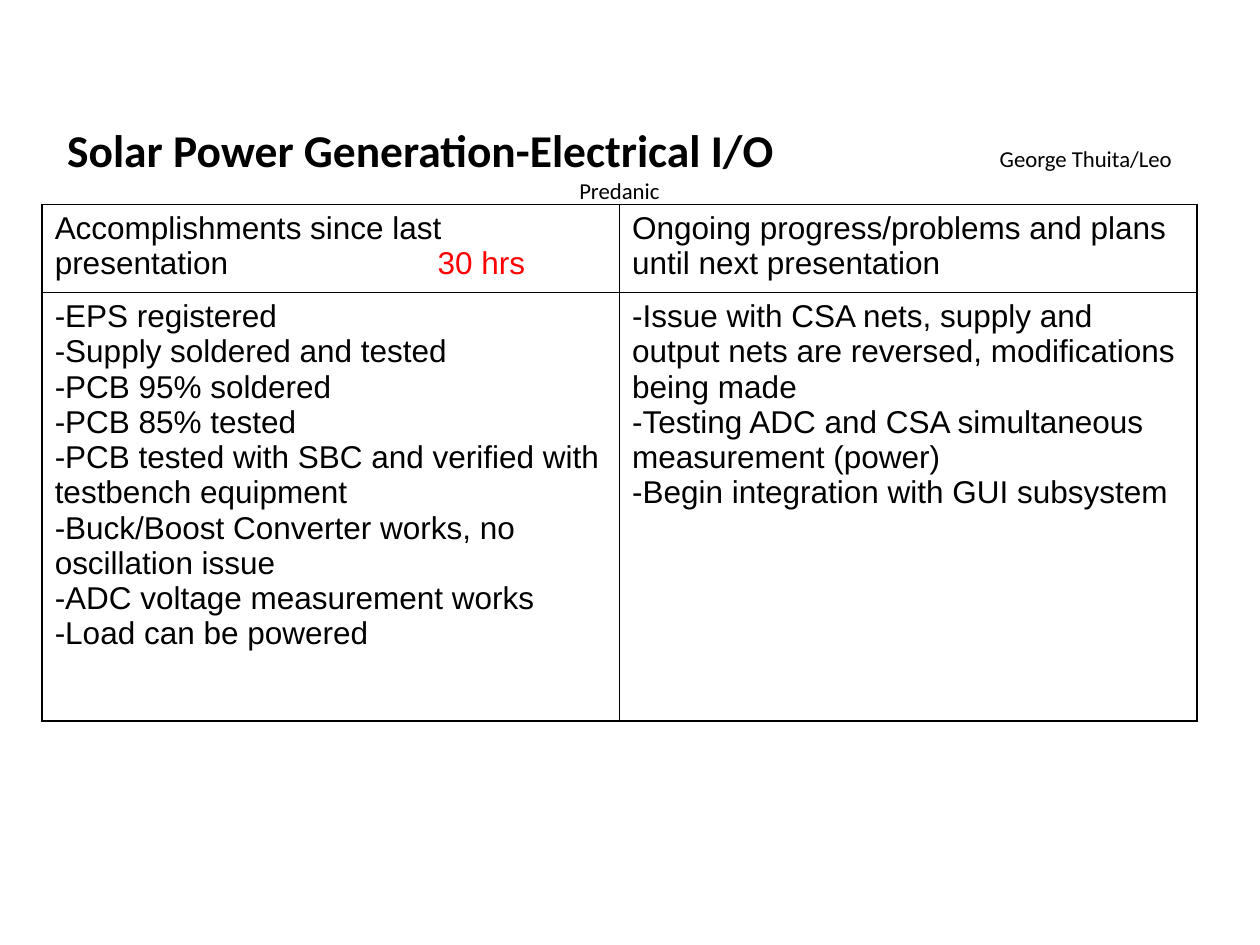
import pptx
import pptx.util
import pptx.dml.color
import pptx.enum.text
import pptx.oxml
import pptx.oxml.ns

Cm = pptx.util.Cm
Pt = pptx.util.Pt
RGBColor = pptx.dml.color.RGBColor

BLACK = RGBColor(0x00, 0x00, 0x00)
RED = RGBColor(0xFF, 0x00, 0x00)

HEADING = {"name": "Calibri", "size": Pt(26), "bold": True}
PRESENTERS = {"name": "Calibri", "size": Pt(13), "bold": False}
CELL = {"name": "Arial", "size": Pt(18), "bold": False}

COLUMNS = [
    (
        [("Accomplishments since last presentation\t", BLACK), ("30 hrs", RED)],
        [
            "-EPS registered",
            "-Supply soldered and tested",
            "-PCB 95% soldered",
            "-PCB 85% tested",
            "-PCB tested with SBC and verified with testbench equipment",
            "-Buck/Boost Converter works, no oscillation issue",
            "-ADC voltage measurement works",
            "-Load can be powered",
        ],
    ),
    (
        [("Ongoing progress/problems and plans until next presentation", BLACK)],
        [
            "-Issue with CSA nets, supply and output nets are reversed, modifications being made",
            "-Testing ADC and CSA simultaneous measurement (power)",
            "-Begin integration with GUI subsystem",
        ],
    ),
]


def add_span(para, text, font_format, color=BLACK):
    span = para.add_run()
    span.text = text
    for key, value in font_format.items():
        setattr(span.font, key, value)
    span.font.color.rgb = color


def add_tab_stop(para, position):
    properties = para._p.get_or_add_pPr()
    properties.append(pptx.oxml.parse_xml(
        f'<a:tabLst {pptx.oxml.ns.nsdecls("a")}><a:tab pos="{position}" algn="l"/></a:tabLst>'
    ))


def add_borders(cell):
    properties = cell._tc.get_or_add_tcPr()
    for side in ("lnL", "lnR", "lnT", "lnB"):
        properties.append(pptx.oxml.parse_xml(
            f'<a:{side} {pptx.oxml.ns.nsdecls("a")} w="{Pt(1)}">'
            f'<a:solidFill><a:srgbClr val="{BLACK}"/></a:solidFill></a:{side}>'
        ))


def fill_title(page, left, top, width, height):
    box = page.shapes.title
    box.left, box.top, box.width, box.height = left, top, width, height
    frame_format = {
        "word_wrap": True,
        "auto_size": pptx.enum.text.MSO_AUTO_SIZE.SHAPE_TO_FIT_TEXT,
        "vertical_anchor": pptx.enum.text.MSO_ANCHOR.TOP,
    }
    for key, value in frame_format.items():
        setattr(box.text_frame, key, value)
    para = box.text_frame.paragraphs[0]
    para.alignment = pptx.enum.text.PP_ALIGN.CENTER
    add_tab_stop(para, Cm(18.8))
    add_span(para, "Solar Power Generation-Electrical I/O", HEADING)
    add_span(para, "\tGeorge Thuita/Leo Predanic", PRESENTERS)


def add_status_table(page, left, top, width, row_heights):
    table = page.shapes.add_table(
        len(row_heights), len(COLUMNS), left, top, width, sum(row_heights)
    ).table
    table.first_row = False
    table.horz_banding = False
    for row, height in zip(table.rows, row_heights):
        row.height = height
    for index, (header, items) in enumerate(COLUMNS):
        table.columns[index].width = width // len(COLUMNS)
        header_para = table.cell(0, index).text_frame.paragraphs[0]
        if len(header) > 1:
            add_tab_stop(header_para, Cm(7.72))
        for text, color in header:
            add_span(header_para, text, CELL, color)
        frame = table.cell(1, index).text_frame
        for number, item in enumerate(items):
            para = frame.add_paragraph() if number else frame.paragraphs[0]
            add_span(para, item, CELL)
    for cell in table.iter_cells():
        add_borders(cell)
        cell.fill.background()


def main():
    deck = pptx.Presentation()
    deck.slide_width, deck.slide_height = Cm(25.4), Cm(19.05)
    page = deck.slides.add_slide(deck.slide_layouts[5])
    fill_title(page, Cm(0.84), Cm(2.34), Cm(23.29), Cm(1.37))
    add_status_table(page, Cm(0.85), Cm(4.12), Cm(23.28), [Cm(1.78), Cm(8.63)])
    deck.save("out.pptx")


if __name__ == "__main__":
    main()
